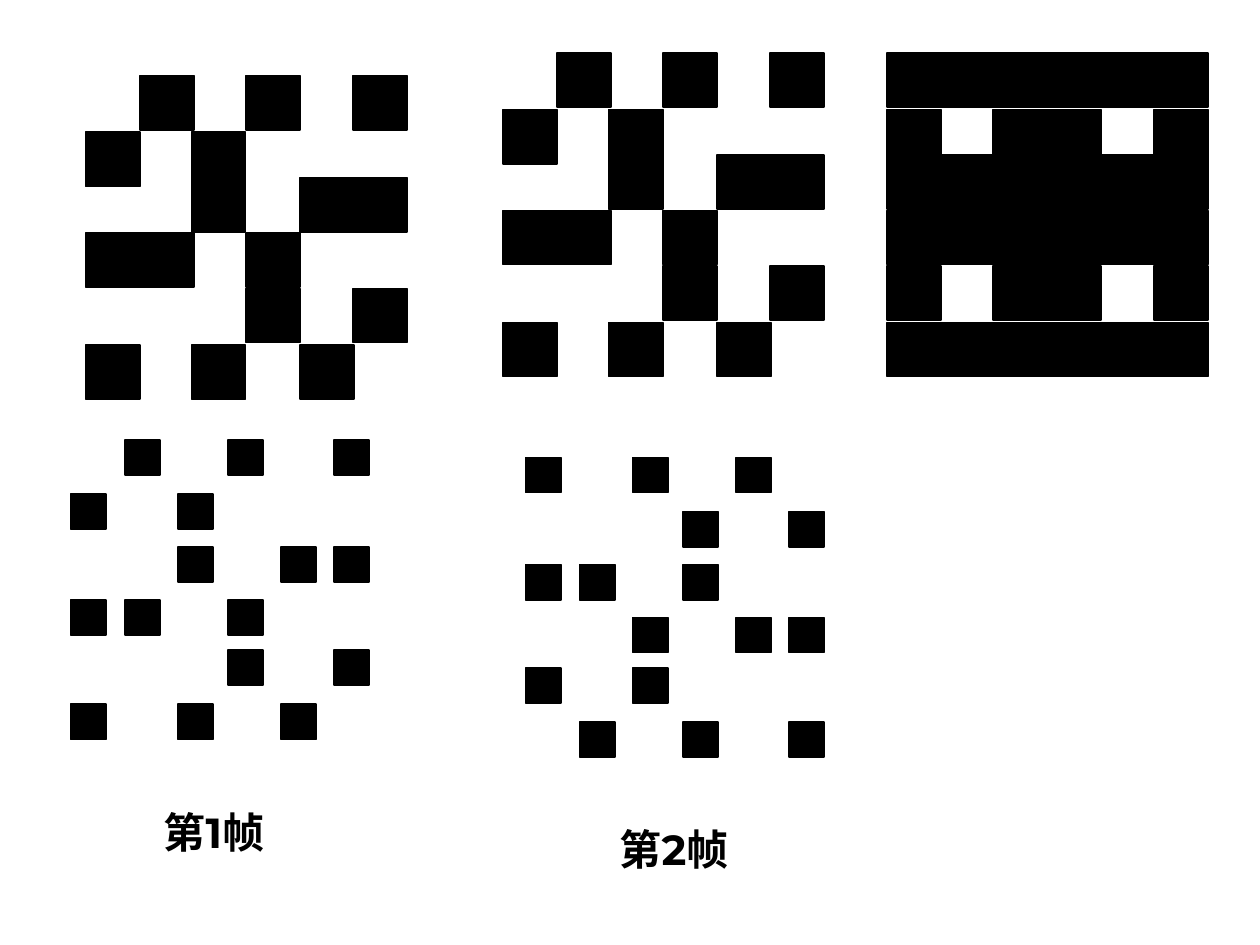
from pptx import Presentation
from pptx import util as u
from pptx.dml.color import RGBColor
from pptx.enum import shapes, text

COLORS = {"ink": "000000"}
FONT = "Montserrat"

PATTERN = [
    ".#.#.#",
    "#.#...",
    "..#.##",
    "##.#..",
    "...#.#",
    "#.#.#.",
]
FLIPPED = PATTERN[::-1]

# Cell size and the offsets of the columns and rows from the grid's corner
LARGE = {
    "cell": 0.43,
    "columns": (0, 0.43, 0.84, 1.27, 1.7, 2.12),
    "rows": (0, 0.45, 0.81, 1.25, 1.69, 2.14),
}
SMALL = {
    "cell": 0.28,
    "columns": (0, 0.43, 0.85, 1.25, 1.67, 2.09),
    "rows": (0, 0.43, 0.85, 1.27, 1.67, 2.1),
}

# Left, top, grid, pattern, grouped
MOSAICS = [
    (3.99, 0.42, LARGE, PATTERN, True),
    (4.17, 3.63, SMALL, FLIPPED, False),
    (0.56, 3.49, SMALL, PATTERN, False),
    (7.04, 0.42, LARGE, PATTERN, False),
    (7.04, 0.42, LARGE, FLIPPED, False),
    (0.68, 0.6, LARGE, PATTERN, True),
]

# Left, top, wording
LABELS = [(1.2, 6.35, "第1帧"), (4.82, 6.49, "第2帧")]


def color(name):
    return RGBColor.from_string(COLORS[name])


def add_square(container, left, top, size):
    shape = container.add_shape(
        shapes.MSO_SHAPE.RECTANGLE,
        u.Inches(left), u.Inches(top), u.Inches(size), u.Inches(size))
    shape.shadow.inherit = False
    shape.fill.solid()
    shape.fill.fore_color.rgb = color("ink")
    shape.line.color.rgb = color("ink")
    shape.line.width = u.Pt(1)


def add_mosaic(slide, left, top, grid, pattern, grouped):
    """Draw a square for every # in the pattern."""
    container = slide.shapes.add_group_shape().shapes if grouped else slide.shapes
    for row, marks in zip(grid["rows"], pattern):
        for column, mark in zip(grid["columns"], marks):
            if mark == "#":
                add_square(container, left + column, top + row, grid["cell"])


def add_label(slide, left, top, wording):
    box = slide.shapes.add_textbox(
        u.Inches(left), u.Inches(top), u.Inches(1.2), u.Inches(0.5))
    frame = box.text_frame
    frame.word_wrap = True
    frame.auto_size = text.MSO_AUTO_SIZE.SHAPE_TO_FIT_TEXT
    run = frame.paragraphs[0].add_run()
    run.text = wording
    run.font.name = FONT
    run.font.size = u.Pt(24)
    run.font.bold = True
    run.font.color.rgb = color("ink")


def main():
    presentation = Presentation()
    presentation.slide_width = u.Inches(10)
    presentation.slide_height = u.Inches(7.5)
    slide = presentation.slides.add_slide(presentation.slide_layouts[6])
    for mosaic in MOSAICS:
        add_mosaic(slide, *mosaic)
    for label in LABELS:
        add_label(slide, *label)
    presentation.save("out.pptx")


if __name__ == "__main__":
    main()
